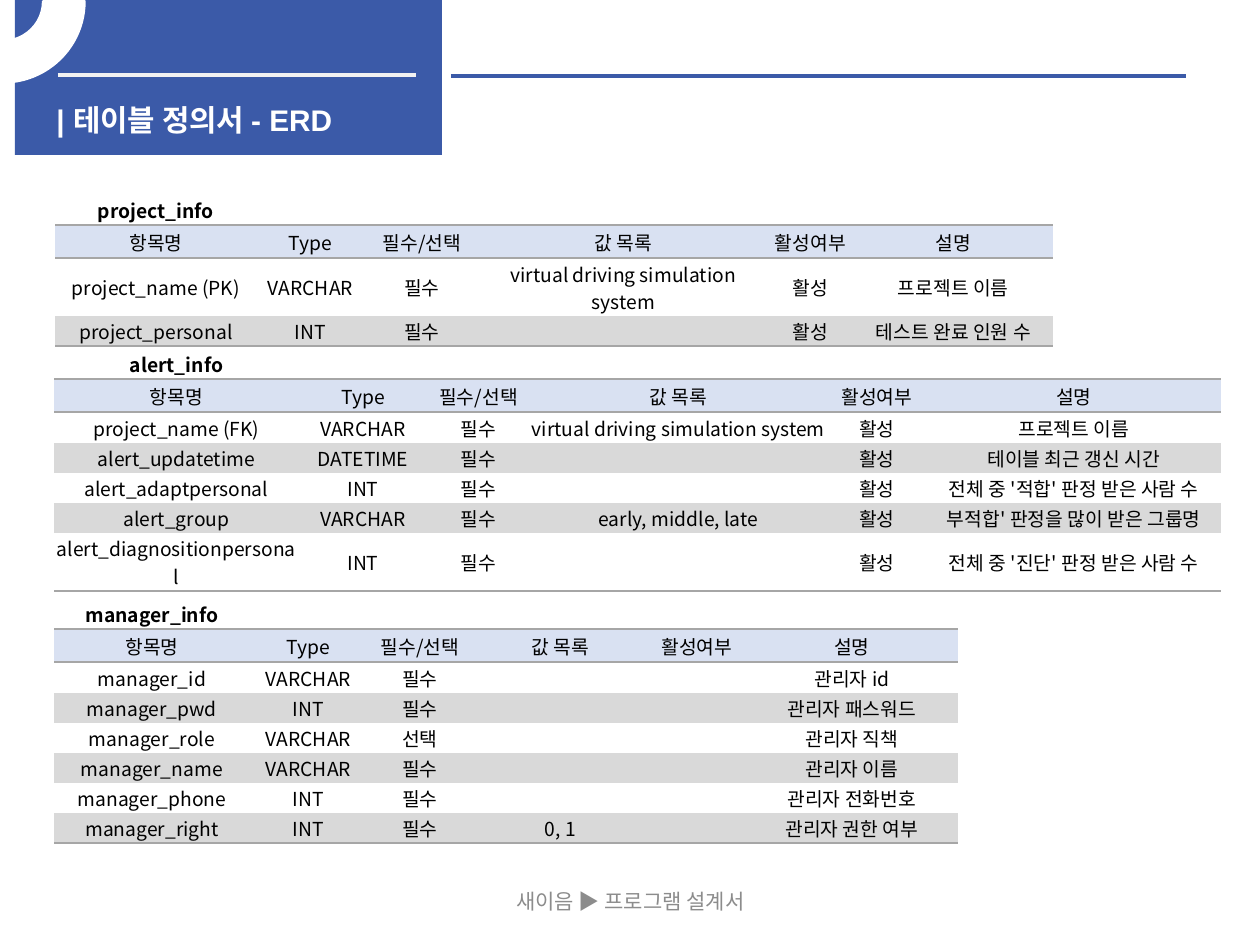
from lxml.etree import SubElement
from pptx import Presentation
from pptx.dml.color import RGBColor
from pptx.enum.shapes import MSO_CONNECTOR, MSO_SHAPE
from pptx.enum.text import MSO_ANCHOR, PP_ALIGN
from pptx.oxml.ns import qn
from pptx.util import Emu, Pt

COLORS = {
    "blue": "3B5AA8", "pale": "F2F2F2", "white": "FFFFFF", "black": "000000",
    "footer": "8C8C8C", "header": "D9E1F2", "band": "D9D9D9", "rule": "A6A6A6",
}
KOREAN = "Noto Sans CJK KR"
NO_TABLE_STYLE = "{2D5ABB26-0587-4C30-8999-92F81FD0307C}"
HEADINGS = ["항목명", "Type", "필수/선택", "값 목록", "활성여부", "설명"]
PROJECT_ROWS = [
    ["project_name (PK)", "VARCHAR", "필수", "virtual driving simulation system", "활성", "프로젝트 이름"],
    ["project_personal", "INT", "필수", "", "활성", "테스트 완료 인원 수"],
]
ALERT_ROWS = [
    ["project_name (FK)", "VARCHAR", "필수", "virtual driving simulation system", "활성", "프로젝트 이름"],
    ["alert_updatetime", "DATETIME", "필수", "", "활성", "테이블 최근 갱신 시간"],
    ["alert_adaptpersonal", "INT", "필수", "", "활성", "전체 중 '적합' 판정 받은 사람 수"],
    ["alert_group", "VARCHAR", "필수", "early, middle, late", "활성", "부적합' 판정을 많이 받은 그룹명"],
    ["alert_diagnositionpersonal", "INT", "필수", "", "활성", "전체 중 '진단' 판정 받은 사람 수"],
]
MANAGER_ROWS = [
    ["manager_id", "VARCHAR", "필수", "", "", "관리자 id"],
    ["manager_pwd", "INT", "필수", "", "", "관리자 패스워드"],
    ["manager_role", "VARCHAR", "선택", "", "", "관리자 직책"],
    ["manager_name", "VARCHAR", "필수", "", "", "관리자 이름"],
    ["manager_phone", "INT", "필수", "", "", "관리자 전화번호"],
    ["manager_right", "INT", "필수", "0, 1", "", "관리자 권한 여부"],
]


def px(value):
    return Emu(round(value * 914400 / 126))


def rgb(name):
    return RGBColor.from_string(COLORS[name])


class SlideBuilder:
    def __init__(self, slide):
        self.slide = slide

    def shape(self, kind, box, color, adjustments=()):
        shape = self.slide.shapes.add_shape(kind, *map(px, box))
        shape.shadow.inherit = False
        shape.fill.solid()
        shape.fill.fore_color.rgb = rgb(color)
        shape.line.fill.background()
        for index, value in enumerate(adjustments):
            shape.adjustments[index] = value
        return shape

    def rule(self, left, right, y, color):
        line = self.slide.shapes.add_connector(
            MSO_CONNECTOR.STRAIGHT, px(left), px(y), px(right), px(y))
        line.line.color.rgb = rgb(color)
        line.line.width = Pt(2.25)
        SubElement(line._element.spPr, qn("a:effectLst"))

    def style(self, paragraph, size, color, font=KOREAN, bold=False, align=PP_ALIGN.CENTER):
        paragraph.alignment = align
        paragraph.font.size = Pt(size)
        paragraph.font.name = font
        paragraph.font.bold = bold
        paragraph.font.color.rgb = rgb(color)

    def text(self, box, text, anchor, size, color, **style):
        frame = self.slide.shapes.add_textbox(*map(px, box)).text_frame
        frame.word_wrap = True
        frame.vertical_anchor = anchor
        frame.text = text
        self.style(frame.paragraphs[0], size, color, **style)

    def borders(self, cell, visible):
        properties = cell._tc.get_or_add_tcPr()
        for index, side in enumerate(("lnL", "lnR", "lnT", "lnB")):
            line = SubElement(properties, qn(f"a:{side}"), w=str(Pt(1.5)))
            if side in visible:
                fill = SubElement(line, qn("a:solidFill"))
                SubElement(fill, qn("a:srgbClr"), val=COLORS["rule"])
            else:
                SubElement(line, qn("a:noFill"))
            properties.insert(index, line)

    def cell(self, cell, text, bold, fill, visible):
        cell.margin_left = cell.margin_right = cell.margin_top = px(1)
        cell.margin_bottom = 0
        cell.vertical_anchor = MSO_ANCHOR.MIDDLE
        cell.text = text
        paragraph = cell.text_frame.paragraphs[0]
        self.style(paragraph, 11, "black", bold=bold)
        if not text:
            SubElement(paragraph._p, qn("a:endParaRPr"), sz="1100")
        if fill:
            cell.fill.solid()
            cell.fill.fore_color.rgb = rgb(fill)
        self.borders(cell, visible)

    def table(self, left, top, widths, name, records, wrapped_row=None):
        rows = [[name] + [""] * (len(HEADINGS) - 1), HEADINGS, *records]
        heights = [31, 33, 31] + [30] * (len(records) - 1)
        if wrapped_row is not None:
            heights[wrapped_row] = 58
        table = self.slide.shapes.add_table(
            len(rows), len(widths), px(left), px(top), px(sum(widths)), px(sum(heights))).table
        table.first_row = table.horz_banding = False
        table._tbl.tblPr.find(qn("a:tableStyleId")).text = NO_TABLE_STYLE
        for column, width in zip(table.columns, widths):
            column.width = px(width)
        for index, (values, height) in enumerate(zip(rows, heights)):
            table.rows[index].height = px(height)
            fill = "header" if index == 1 else "band" if index > 2 and index % 2 else None
            visible = []
            if index in (1, 2):
                visible.append("lnT")
            if index in (0, 1, len(rows) - 1):
                visible.append("lnB")
            for column, value in enumerate(values):
                self.cell(table.cell(index, column), value, index == 0, fill, visible)


def main():
    presentation = Presentation()
    presentation.slide_width, presentation.slide_height = px(1260), px(945)
    builder = SlideBuilder(presentation.slides.add_slide(presentation.slide_layouts[6]))

    builder.shape(MSO_SHAPE.RECTANGLE, (15, 0, 427, 155), "blue")
    builder.rule(58, 416, 75, "pale")
    builder.rule(451, 1186, 76, "blue")
    builder.text((44, 96, 397, 40), "| 테이블 정의서 - ERD", MSO_ANCHOR.TOP, 17, "white",
                 font="Arial", bold=True, align=PP_ALIGN.LEFT)
    ring = builder.shape(MSO_SHAPE.BLOCK_ARC, (-79, -79, 163, 161), "white", (0, 119.05, 0.25))
    ring.line.color.rgb = rgb("white")
    ring.line.width = Pt(2)
    builder.text((431, 876, 399, 50), "새이음 ▶ 프로그램 설계서", MSO_ANCHOR.MIDDLE, 12, "footer")

    builder.table(55, 194, (202, 107, 116, 287, 87, 199), "project_info", PROJECT_ROWS, wrapped_row=2)
    builder.table(54, 348, (245, 128, 103, 297, 100, 294), "alert_info", ALERT_ROWS, wrapped_row=6)
    builder.table(54, 598, (196, 117, 106, 175, 98, 212), "manager_info", MANAGER_ROWS)
    presentation.save("out.pptx")


if __name__ == "__main__":
    main()
